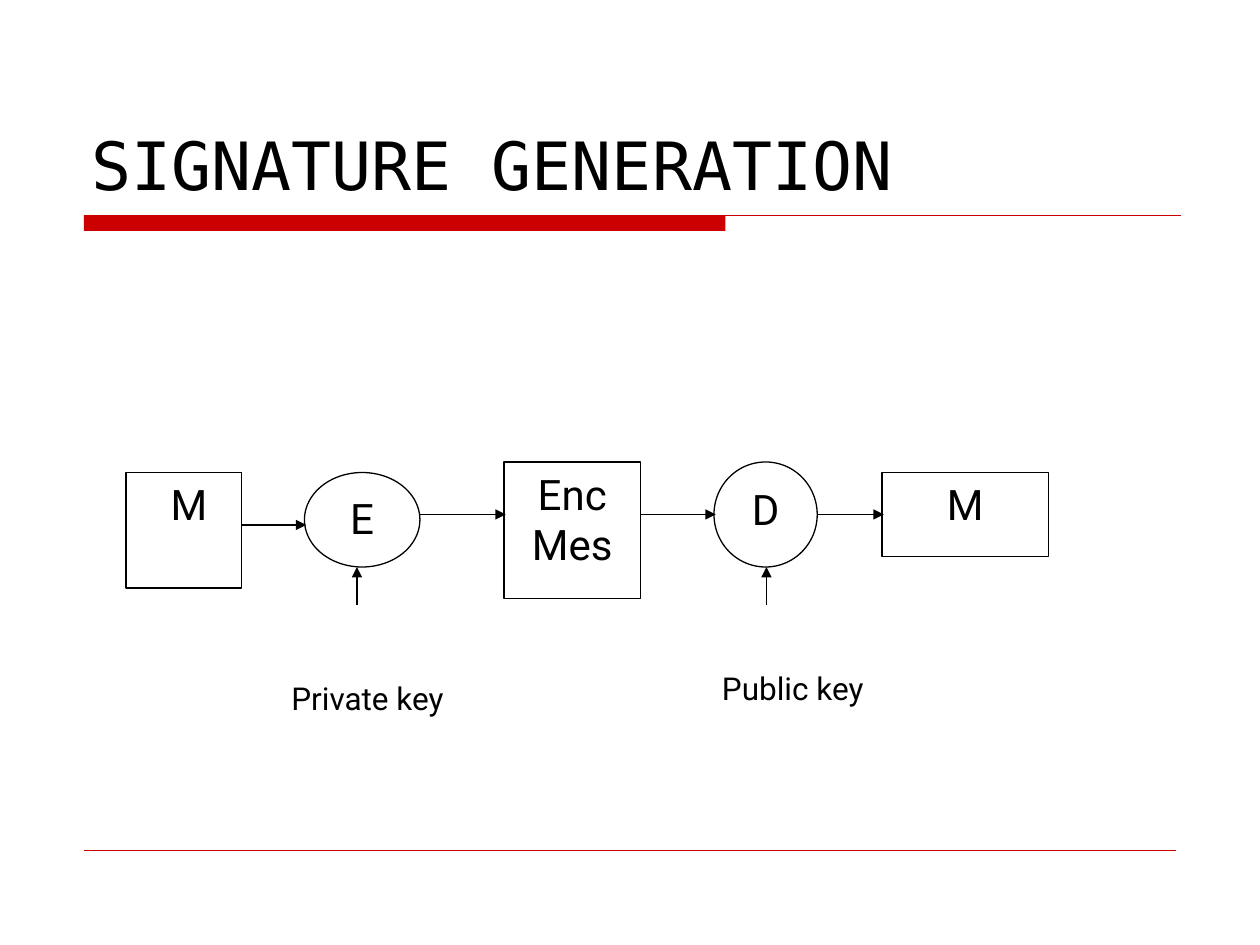
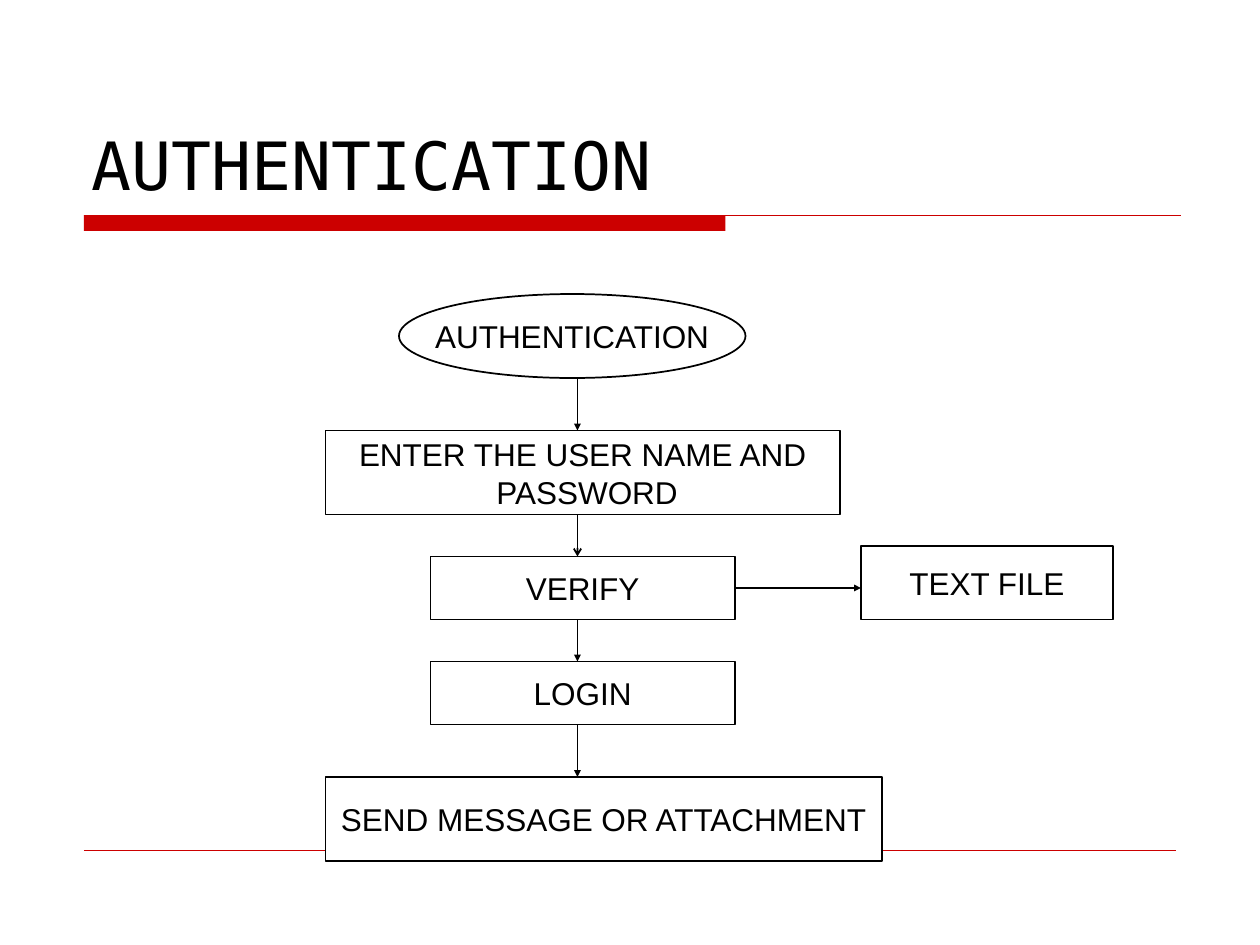
from lxml import etree
from pptx import Presentation
from pptx.dml.color import RGBColor
from pptx.enum.shapes import MSO_CONNECTOR, MSO_SHAPE
from pptx.enum.text import MSO_ANCHOR, MSO_AUTO_SIZE, PP_ALIGN
from pptx.oxml.ns import qn
from pptx.util import Pt

# Shared look
RED, BLACK, WHITE = "CC0000", "000000", "FFFFFF"
TITLE_FONT, SIGN_FONT, AUTH_FONT = "DejaVu Sans Mono", "Roboto", "Arial"
RECT, OVAL = MSO_SHAPE.RECTANGLE, MSO_SHAPE.OVAL
LEFT, BAND_TOP = 48, 123

# Signature chain: lines, shape, (left, top, width, height), indent
SIGN_NODES = [
    (["M"], RECT, (72, 270, 66, 66), 6),
    (["E"], OVAL, (174, 270, 66, 54), 0),
    (["Enc Mes"], RECT, (288, 264, 78, 78), 0),
    (["D"], OVAL, (408, 264, 59, 60), 0),
    (["M"], RECT, (504, 270, 95, 48), 0),
]
SIGN_ARROW_Y = [300, 294, 294, 294]
# Keys: label, label box, arrow x
KEYS = [
    ("Private key", (162, 378, 96, 42), 204),
    ("Public key", (402, 372, 102, 42), 438),
]
KEY_ARROW_FROM, KEY_ARROW_TO = 345.5, 324

# Authentication flow, top to bottom: lines, shape, box, indent
AUTH_STEPS = [
    (["AUTHENTICATION"], OVAL, (228, 168, 198, 48), 0),
    (["ENTER THE USER NAME AND", "PASSWORD"], RECT, (186, 246, 294, 48), 5),
    (["VERIFY"], RECT, (246, 318, 174, 36), 0),
    (["LOGIN"], RECT, (246, 378, 174, 36), 0),
    (["SEND MESSAGE OR ATTACHMENT"], RECT, (186, 444, 318, 48), 0),
]
AUTH_HEADS = ["triangle", "arrow", "triangle", "triangle"]
AUTH_X = 330
TEXT_FILE = (["TEXT FILE"], RECT, (492, 312, 144, 42), 0)


def rgb(value):
    return RGBColor.from_string(value)


def write(tf, lines, font, size, align=PP_ALIGN.CENTER, anchor=MSO_ANCHOR.MIDDLE,
          wrap=False, indent=0):
    """Fill a text frame; indent shifts its last paragraph."""
    tf.word_wrap, tf.auto_size, tf.vertical_anchor = wrap, MSO_AUTO_SIZE.NONE, anchor
    for i, line in enumerate(lines):
        p = tf.paragraphs[0] if i == 0 else tf.add_paragraph()
        p.alignment = align
        r = p.add_run()
        r.text = line
        r.font.name, r.font.size = font, Pt(size)
        r.font.color.rgb = rgb(BLACK)
    if indent:
        p._p.get_or_add_pPr().set("marL", str(Pt(indent)))


def add_box(s, kind, box, fill=WHITE, line=None, weight=0.75):
    sp = s.shapes.add_shape(kind, *map(Pt, box))
    sp.shadow.inherit = False
    sp.fill.solid()
    sp.fill.fore_color.rgb = rgb(fill)
    if line:
        sp.line.color.rgb = rgb(line)
        sp.line.width = Pt(weight)
    else:
        sp.line.fill.background()
    return sp


def add_node(s, node, font, size, line=BLACK, weight=0.75, **fmt):
    lines, kind, box, indent = node
    sp = add_box(s, kind, box, line=line, weight=weight)
    write(sp.text_frame, lines, font, size, indent=indent, **fmt)


def add_line(s, x1, y1, x2, y2, color=BLACK, weight=0.75, head=None, head_size="med"):
    c = s.shapes.add_connector(MSO_CONNECTOR.STRAIGHT, Pt(x1), Pt(y1), Pt(x2), Pt(y2))
    c.line.color.rgb = rgb(color)
    c.line.width = Pt(weight)
    if head:
        etree.SubElement(c.line._get_or_add_ln(), qn("a:tailEnd"),
                         type=head, w=head_size, len=head_size)
    etree.SubElement(c._element.spPr, qn("a:effectLst"))


def add_slide(prs, title):
    """Start a slide with its title, red band and footer rule."""
    s = prs.slides.add_slide(prs.slide_layouts[5])
    t = s.shapes.title
    t.left, t.top, t.width, t.height = map(Pt, (45, 24, 630, 96))
    write(t.text_frame, [title], TITLE_FONT, 38, align=PP_ALIGN.LEFT,
          anchor=MSO_ANCHOR.BOTTOM, wrap=True)
    add_box(s, RECT, (LEFT, BAND_TOP, 366.5, 9), fill=RED)
    add_line(s, LEFT, BAND_TOP, 675, BAND_TOP, RED)
    add_line(s, LEFT, 486, 672, 486, RED, 0.25)
    return s


def build_signature(prs):
    s = add_slide(prs, "SIGNATURE GENERATION")
    for node in SIGN_NODES:
        add_node(s, node, SIGN_FONT, 24, anchor=MSO_ANCHOR.TOP, wrap=True)
    # Arrows from each node to the next
    for a, b, y in zip(SIGN_NODES, SIGN_NODES[1:], SIGN_ARROW_Y):
        left, _, width, _ = a[2]
        add_line(s, left + width, y, b[2][0] + 1, y, head="triangle")
    # Keys feeding the two ovals
    for label, box, x in KEYS:
        add_line(s, x, KEY_ARROW_FROM, x, KEY_ARROW_TO, head="triangle")
        add_node(s, ([label], RECT, box, 0), SIGN_FONT, 18, line=WHITE)


def build_authentication(prs):
    s = add_slide(prs, "AUTHENTICATION")
    for node in AUTH_STEPS + [TEXT_FILE]:
        add_node(s, node, AUTH_FONT, 18, weight=1)
    # Arrows down the flow
    for a, b, head in zip(AUTH_STEPS, AUTH_STEPS[1:], AUTH_HEADS):
        _, top, _, height = a[2]
        add_line(s, AUTH_X, top + height, AUTH_X, b[2][1], weight=1,
                 head=head, head_size="sm")
    # Side arrow from the verify step to the text file
    left, top, width, height = AUTH_STEPS[2][2]
    y = top + height / 2
    add_line(s, left + width, y, TEXT_FILE[2][0], y, weight=1,
             head="triangle", head_size="sm")


def main():
    prs = Presentation()
    prs.slide_width, prs.slide_height = Pt(720), Pt(540)
    build_signature(prs)
    build_authentication(prs)
    prs.save("out.pptx")


if __name__ == "__main__":
    main()
